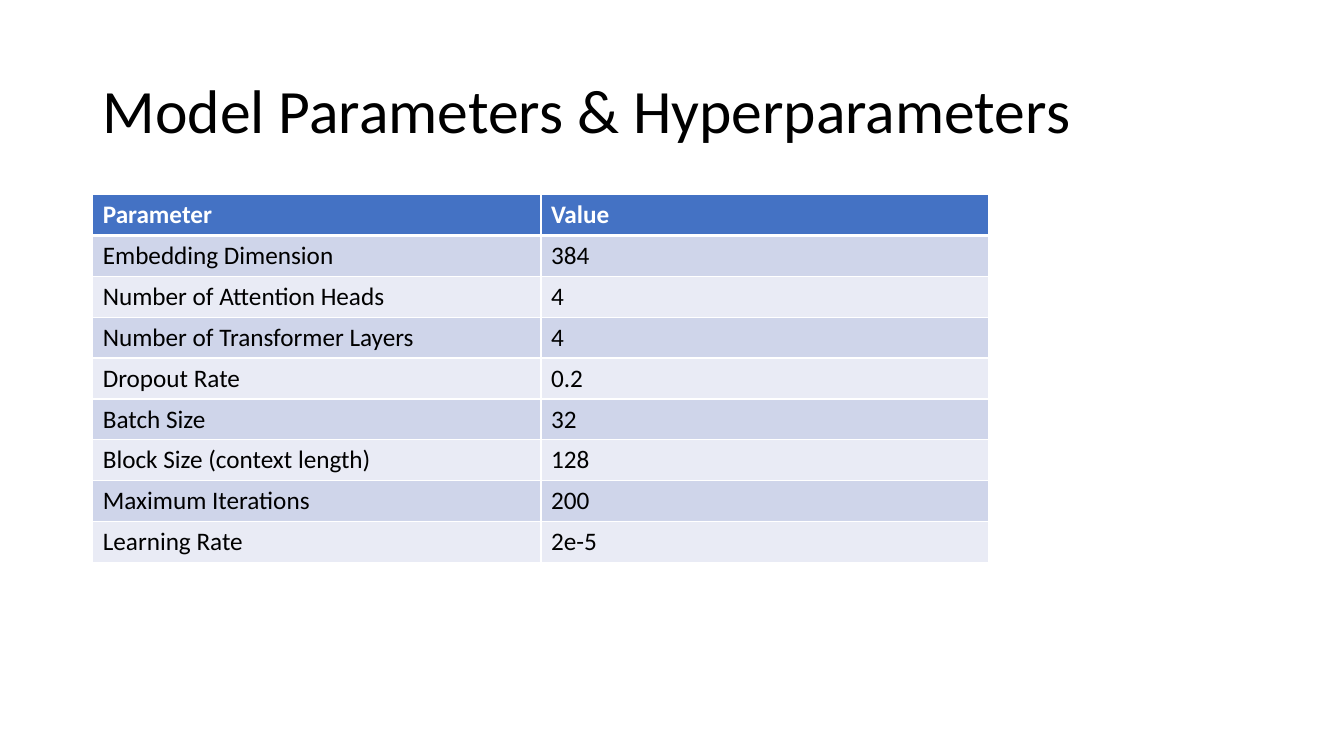
import pptx
import pptx.dml.color
import pptx.enum.text
import pptx.oxml
import pptx.oxml.ns
import pptx.util

Inches = pptx.util.Inches
Pt = pptx.util.Pt

# Content
TITLE = "Model Parameters & Hyperparameters"
PARAMETERS = [
    ("Parameter", "Value"),
    ("Embedding Dimension", "384"),
    ("Number of Attention Heads", "4"),
    ("Number of Transformer Layers", "4"),
    ("Dropout Rate", "0.2"),
    ("Batch Size", "32"),
    ("Block Size (context length)", "128"),
    ("Maximum Iterations", "200"),
    ("Learning Rate", "2e-5"),
]

# Style
FONT = "Calibri"
BLACK, WHITE = "000000", "FFFFFF"
HEADER_FILL = "4472C4"
BAND_FILLS = ("E9EBF5", "CFD5EA")  # even rows, odd rows
LEFT = 0.92
TABLE_TOP, TABLE_WIDTH, TABLE_HEIGHT = 1.93, 8.89, 3.64


def color(hex_string):
    return pptx.dml.color.RGBColor.from_string(hex_string)


def format_text(text_frame, size, text_color, bold=False):
    text_frame.vertical_anchor = pptx.enum.text.MSO_ANCHOR.MIDDLE
    for paragraph in text_frame.paragraphs:
        paragraph.alignment = pptx.enum.text.PP_ALIGN.LEFT
        for run in paragraph.runs:
            run.font.name = FONT
            run.font.size = Pt(size)
            run.font.bold = bold
            run.font.color.rgb = color(text_color)


def set_borders(cell, widths):
    properties = cell._tc.get_or_add_tcPr()
    for side, width in widths.items():
        properties.append(pptx.oxml.parse_xml(
            f'<a:ln{side} {pptx.oxml.ns.nsdecls("a")} w="{Pt(width)}">'
            f'<a:solidFill><a:srgbClr val="{WHITE}"/></a:solidFill></a:ln{side}>'))


presentation = pptx.Presentation()
presentation.slide_width = Inches(13.33)
presentation.slide_height = Inches(7.5)
slide = presentation.slides.add_slide(presentation.slide_layouts[5])

# Title
title = slide.shapes.title
title.left, title.top = Inches(LEFT), Inches(0.4)
title.width, title.height = Inches(11.5), Inches(1.45)
title.text_frame.text = TITLE
title.text_frame.auto_size = pptx.enum.text.MSO_AUTO_SIZE.NONE
title.text_frame.paragraphs[0].line_spacing = 0.9
format_text(title.text_frame, 44, BLACK)

# Parameter table, equal rows and columns
table = slide.shapes.add_table(
    len(PARAMETERS), len(PARAMETERS[0]), Inches(LEFT), Inches(TABLE_TOP),
    Inches(TABLE_WIDTH), Inches(TABLE_HEIGHT)).table

for row_index, row in enumerate(PARAMETERS):
    is_header = row_index == 0
    for column_index, text in enumerate(row):
        cell = table.cell(row_index, column_index)
        cell.text_frame.text = text
        format_text(cell.text_frame, 18, WHITE if is_header else BLACK, is_header)
        # A thicker rule separates the header from the body
        set_borders(cell, {"L": 1, "R": 1, "T": 3 if row_index == 1 else 1,
                           "B": 3 if is_header else 1})
        cell.vertical_anchor = pptx.enum.text.MSO_ANCHOR.MIDDLE
        cell.fill.solid()
        cell.fill.fore_color.rgb = color(
            HEADER_FILL if is_header else BAND_FILLS[row_index % 2])

presentation.save("out.pptx")
